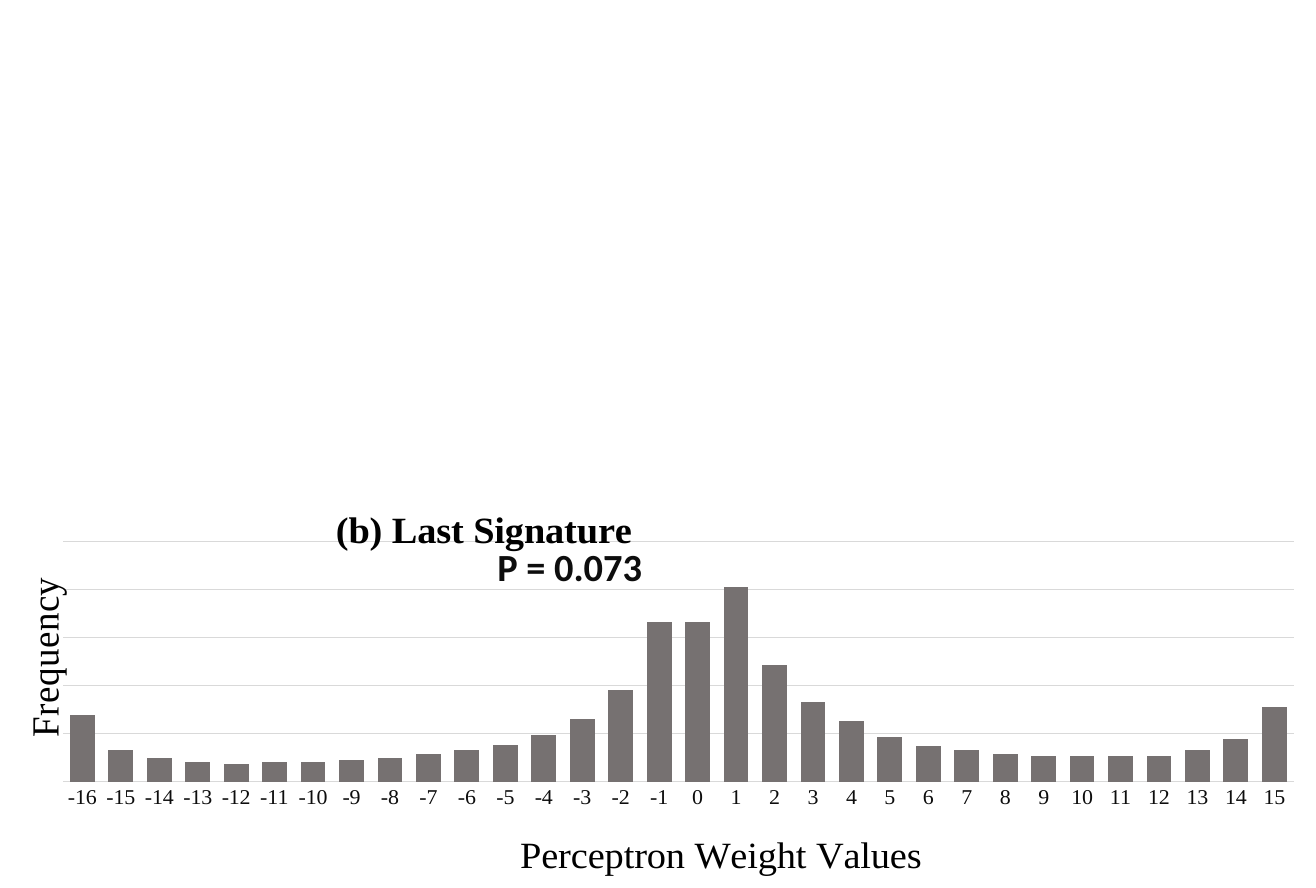
from dataclasses import dataclass

from lxml.etree import SubElement
from pptx import Presentation
from pptx.chart.data import CategoryChartData
from pptx.dml.color import RGBColor
from pptx.enum.chart import XL_CHART_TYPE, XL_TICK_MARK
from pptx.enum.text import MSO_ANCHOR
from pptx.oxml.ns import qn
from pptx.util import Cm, Pt


@dataclass(frozen=True)
class Theme:
    """Colours, fonts and type sizes of the slide."""
    ink: RGBColor = RGBColor(0x00, 0x00, 0x00)
    soft_ink: RGBColor = RGBColor(0x0D, 0x0D, 0x0D)
    bar: RGBColor = RGBColor(0x76, 0x71, 0x71)
    grid: RGBColor = RGBColor(0xD9, 0xD9, 0xD9)
    serif: str = "Times New Roman"
    sans: str = "Calibri"
    heading: Pt = Pt(28)
    tick: Pt = Pt(16)
    base: Pt = Pt(10)
    hairline: Pt = Pt(0.75)


THEME = Theme()
WEIGHTS = range(-16, 16)
FREQUENCIES = (34, 16, 12, 10, 9, 10, 10, 11, 12, 14, 16, 19, 24, 32, 47, 82,
               82, 100, 60, 41, 31, 23, 18, 16, 14, 13, 13, 13, 13, 16, 22, 38)
GRID_STEP = 24.6
GRID_INTERVALS = 5


def style_font(font, name, size, color, bold=False):
    """Set family, size, colour and weight of a font."""
    font.name, font.size, font.bold = name, size, bold
    font.color.rgb = color


def style_line(line):
    """Give an axis or grid line the thin grey stroke."""
    line.color.rgb = THEME.grid
    line.width = THEME.hairline


def set_layout(layout, **settings):
    """Write a manual layout in fractions of the chart area."""
    for child in list(layout):
        layout.remove(child)
    manual = SubElement(layout, qn("c:manualLayout"))
    for tag, value in settings.items():
        SubElement(manual, qn(f"c:{tag}")).set("val", str(value))


def place_title(title, text, left, top, bold=False):
    """Fill a chart or axis title and put its corner at left, top."""
    title.text_frame.text = text
    run = title.text_frame.paragraphs[0].runs[0]
    style_font(run.font, THEME.serif, THEME.heading, THEME.ink, bold)
    element = title._element
    layout = element.find(qn("c:layout"))
    if layout is None:
        layout = SubElement(element, qn("c:layout"))
        element.find(qn("c:tx")).addnext(layout)
    set_layout(layout, xMode="edge", yMode="edge", x=left, y=top)


def add_histogram(slide, left, top, width, height):
    """Draw the column chart of weight frequencies in the given box."""
    histogram_data = CategoryChartData()
    histogram_data.categories = [str(weight) for weight in WEIGHTS]
    histogram_data.add_series("Series 1", FREQUENCIES)
    chart = slide.shapes.add_chart(XL_CHART_TYPE.COLUMN_CLUSTERED, left, top,
                                   width, height, histogram_data).chart
    chart.has_legend = False
    style_font(chart.font, THEME.sans, THEME.base, THEME.ink)

    columns = chart.plots[0]
    columns.gap_width, columns.overlap = 55, -3
    columns.vary_by_categories = False
    fill = columns.series[0].format.fill
    fill.solid()
    fill.fore_color.rgb = THEME.bar

    weights = chart.category_axis
    weights.major_tick_mark = weights.minor_tick_mark = XL_TICK_MARK.NONE
    style_font(weights.tick_labels.font, THEME.serif, THEME.tick, THEME.soft_ink)
    style_line(weights.format.line)

    frequency = chart.value_axis
    frequency.minimum_scale = 0
    frequency.maximum_scale = GRID_STEP * GRID_INTERVALS
    frequency.major_unit = GRID_STEP
    frequency.has_major_gridlines = True
    style_line(frequency.major_gridlines.format.line)
    frequency.visible = False

    place_title(chart.chart_title, "(b) Last Signature", 0.25, 0.07, bold=True)
    chart.chart_title.include_in_layout = True
    place_title(weights.axis_title, "Perceptron Weight Values", 0.39, 0.88)
    place_title(frequency.axis_title, "Frequency", 0.01, 0.26)
    body = frequency.axis_title.text_frame._txBody.find(qn("a:bodyPr"))
    body.set("rot", "-5400000")
    body.set("vert", "horz")

    plot_area = chart._chartSpace.chart.plotArea
    layout = plot_area.find(qn("c:layout"))
    if layout is None:
        layout = SubElement(plot_area, qn("c:layout"))
        plot_area.insert(0, layout)
    set_layout(layout, layoutTarget="inner", xMode="edge", yMode="edge",
               x=0.048, y=0.175, w=0.935, h=0.597)


def add_probability(slide, left, top, width, height):
    """Write the P value in the given box."""
    frame = slide.shapes.add_textbox(left, top, width, height).text_frame
    frame.word_wrap = True
    frame.vertical_anchor = MSO_ANCHOR.TOP
    frame.margin_left = frame.margin_right = 0
    frame.margin_top = frame.margin_bottom = 0
    frame.text = "P = 0.073"
    style_font(frame.paragraphs[0].runs[0].font, THEME.sans, THEME.heading,
               THEME.soft_ink, bold=True)


def add_signature_panel(slide, left, top, width, height):
    """Place the histogram and its P value in the given box."""
    add_histogram(slide, left, top, width, height)
    add_probability(slide, left + Cm(12.8), top + Cm(1.83), Cm(4.5), Cm(1.2))


def main():
    """Build and save the slide."""
    deck = Presentation()
    deck.slide_width, deck.slide_height = Cm(33.87), Cm(22.86)
    slide = deck.slides.add_slide(deck.slide_layouts[6])
    panel_top = Cm(12.14)
    add_signature_panel(slide, 0, panel_top, deck.slide_width,
                        deck.slide_height - panel_top)
    deck.save("out.pptx")


main()
